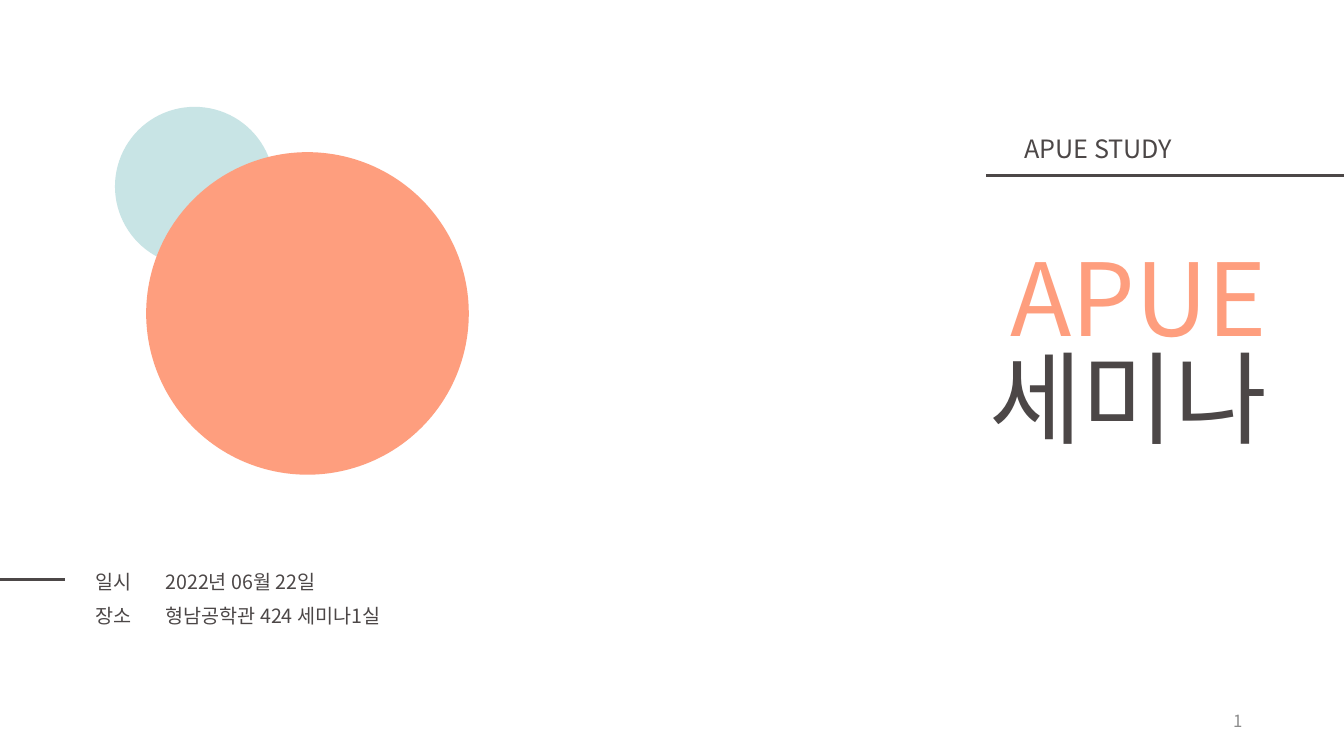
"""Builds the cover slide of the APUE seminar."""
import pptx
import pptx.util
import pptx.dml.color
import pptx.enum.shapes
import pptx.enum.text
import lxml.etree

Inches = pptx.util.Inches
FONT = "Noto Sans CJK KR"
DARK, CORAL, MINT, GRAY = "4C4747", "FE9E7E", "C8E4E5", "8C8C8C"
SHAPE = pptx.enum.shapes.MSO_SHAPE
ANCHOR = pptx.enum.text.MSO_ANCHOR
ALIGN = pptx.enum.text.PP_ALIGN


def color(code):
    return pptx.dml.color.RGBColor.from_string(code)


def style(par, size, code, align=ALIGN.LEFT):
    par.alignment = align
    for run in par.runs:
        run.font.size = pptx.util.Pt(size)
        run.font.name = FONT
        run.font.color.rgb = color(code)
        east = lxml.etree.SubElement(run.font._element, pptx.oxml.ns.qn("a:ea"))
        east.set("typeface", FONT)


deck = pptx.Presentation()
deck.slide_width, deck.slide_height = Inches(13.33), Inches(7.5)
slide = deck.slides.add_slide(deck.slide_layouts[5])
shapes = slide.shapes

for left, right, top in [(9.78, 13.33, 1.74), (0, 0.64, 5.75)]:
    rule = shapes.add_connector(
        pptx.enum.shapes.MSO_CONNECTOR.STRAIGHT,
        Inches(left), Inches(top), Inches(right), Inches(top))
    rule.line.color.rgb = color(DARK)
    rule.line.width = pptx.util.Pt(2.25)
    lxml.etree.SubElement(rule._element.spPr, pptx.oxml.ns.qn("a:effectLst"))

title = shapes.title
title.left, title.top = Inches(9.44), Inches(2.49)
title.width, title.height = Inches(3.23), Inches(2.52)
frame = title.text_frame
frame.text = "APUE\n세미나"
frame.word_wrap = False
frame.auto_size = pptx.enum.text.MSO_AUTO_SIZE.NONE
frame.vertical_anchor = ANCHOR.TOP
for par, code in zip(frame.paragraphs, [CORAL, DARK]):
    style(par, 72, code, ALIGN.RIGHT)
    par.line_spacing = 0.83
    par.space_before = pptx.util.Pt(0)

labels = [
    ("APUE STUDY", 10.06, 1.27, 1.68, 18, DARK, ALIGN.LEFT),
    ("1", 9.42, 6.95, 3, 12, GRAY, ALIGN.RIGHT),
]
for text, left, top, width, size, code, align in labels:
    box = shapes.add_textbox(Inches(left), Inches(top), Inches(width), Inches(0.4))
    box.text_frame.text = text
    box.text_frame.word_wrap = True
    box.text_frame.vertical_anchor = ANCHOR.MIDDLE
    style(box.text_frame.paragraphs[0], size, code, align)

facts = [("일시", "2022년 06월 22일"), ("장소", "형남공학관 424 세미나1실")]
table = shapes.add_table(
    2, 2, Inches(0.85), Inches(5.6), Inches(4.81), Inches(0.67)).table
table.first_row = table.horz_banding = False
for col, width in zip(table.columns, [0.69, 4.12]):
    col.width = Inches(width)
for row, texts in enumerate(facts):
    for col, text in enumerate(texts):
        cell = table.cell(row, col)
        cell.text = text
        cell.fill.background()
        cell.margin_top = cell.margin_bottom = 0
        cell.vertical_anchor = ANCHOR.MIDDLE
        style(cell.text_frame.paragraphs[0], 14, DARK)

group = shapes.add_group_shape()
for left, top, size, code in [(1.14, 1.06, 1.58, MINT), (1.45, 1.51, 3.2, CORAL)]:
    disc = group.shapes.add_shape(
        SHAPE.OVAL, Inches(left), Inches(top), Inches(size), Inches(size))
    disc.shadow.inherit = False
    disc.fill.solid()
    disc.fill.fore_color.rgb = color(code)
    disc.line.fill.background()

deck.save("out.pptx")
